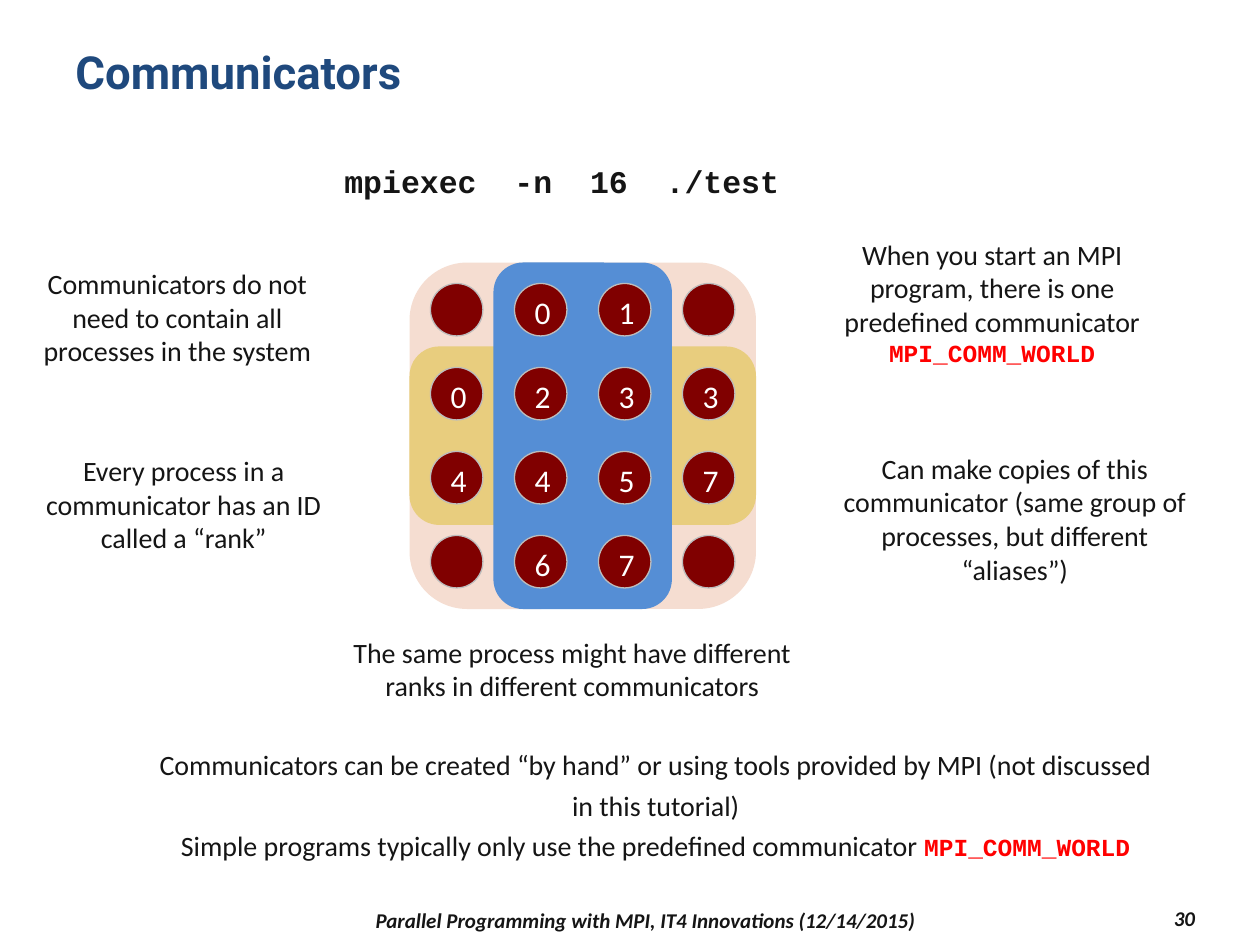
from pptx import Presentation, util as u
from pptx.dml.color import RGBColor
from pptx.enum import shapes, text

UNIT = u.Inches(1) // 12
COLUMNS, ROWS = 120, 90
PITCH, MARGIN, DIAMETER = 8, 2, 5

INK = RGBColor(0x15, 0x15, 0x15)
NAVY = RGBColor(0x1F, 0x49, 0x7D)
RED = RGBColor(0xFF, 0x00, 0x00)
WHITE = RGBColor(0xFF, 0xFF, 0xFF)
MAROON = RGBColor(0x80, 0x00, 0x00)
GREY = RGBColor(0xBD, 0xBD, 0xBD)
PINK = RGBColor(0xF5, 0xDD, 0xD1)
GOLD = RGBColor(0xE8, 0xCD, 0x7E)
BLUE = RGBColor(0x55, 0x8E, 0xD5)

BODY = {"name": "Calibri", "size": u.Pt(16), "color": INK}
TITLE = {"name": "Roboto", "size": u.Pt(26), "bold": True, "color": NAVY}
FOOTER = BODY | {"size": u.Pt(12), "bold": True, "italic": True}
COMMAND = {"name": "Courier New", "size": u.Pt(18), "bold": True, "color": INK}
CONSTANT = COMMAND | {"size": u.Pt(14), "color": RED}
RANK = BODY | {"size": u.Pt(18), "color": WHITE}

CENTER = text.PP_ALIGN.CENTER
WORLD = ("MPI_COMM_WORLD", CONSTANT)

COMMUNICATORS = [
    (PINK, 0, 0, 4, 4, {(0, 0): "", (3, 0): "", (0, 3): "", (3, 3): ""}),
    (GOLD, 0, 1, 4, 2, {(0, 0): "0", (3, 0): "3", (0, 1): "4", (3, 1): "7"}),
    (BLUE, 1, 0, 2, 4, {(rank % 2, rank // 2): str(rank) for rank in range(8)}),
]

NOTES = [
    ((29, 14.8, 49, 4.8), [("mpiexec  -n  16  ./test", COMMAND)]),
    ((78, 22, 33, 14.2), [
        ("When you start an MPI program, there is one predefined communicator ", BODY), WORLD]),
    ((78, 42.4, 37.3, 14.2), [
        ("Can make copies of this communicator (same group of processes, "
         "but different “aliases”)", BODY)]),
    ((1.4, 24.8, 31, 10.9), [
        ("Communicators do not need to contain all processes in the system", BODY)]),
    ((2, 42.6, 31, 10.9), [
        ("Every process in a communicator has an ID called a “rank”", BODY)]),
    ((30, 59.9, 49, 7.7), [
        ("The same process might have different ranks in different communicators", BODY)]),
]

SUMMARY = [
    [("Communicators can be created “by hand” or using tools provided by MPI "
      "(not discussed in this tutorial)", BODY)],
    [("Simple programs typically only use the predefined communicator ", BODY), WORLD],
]


def grid(box):
    """Turn columns and rows into slide lengths."""
    return [round(value * UNIT) for value in box]


def add_run(paragraph, words, style):
    """Add a run and set its font from a dict."""
    run = paragraph.add_run()
    run.text = words
    for name, value in style.items():
        if name == "color":
            run.font.color.rgb = value
        else:
            setattr(run.font, name, value)


def add_words(slide, box, paragraphs, alignment=CENTER, spacing=None,
              anchor=text.MSO_ANCHOR.TOP):
    """Place a wrapped text box made of paragraphs of styled runs."""
    frame = slide.shapes.add_textbox(*grid(box)).text_frame
    frame.word_wrap = True
    frame.vertical_anchor = anchor
    for index, runs in enumerate(paragraphs):
        paragraph = frame.add_paragraph() if index else frame.paragraphs[0]
        paragraph.alignment = alignment
        if spacing:
            paragraph.line_spacing = spacing
        for words, style in runs:
            add_run(paragraph, words, style)


def add_filled(group, kind, box, fill):
    """Add a flat preset shape without an outline."""
    shape = group.shapes.add_shape(kind, *grid(box))
    shape.shadow.inherit = False
    shape.fill.solid()
    shape.fill.fore_color.rgb = fill
    shape.line.fill.background()
    return shape


def add_process(group, left, top, rank):
    """Draw one process circle with its rank."""
    shape = add_filled(group, shapes.MSO_SHAPE.OVAL,
                       (left, top, DIAMETER, DIAMETER), MAROON)
    shape.line.color.rgb = GREY
    shape.line.width = u.Pt(0.75)
    if not rank:
        return
    frame = shape.text_frame
    layout = {"margin_left": u.Inches(0.03), "margin_top": u.Inches(0.03),
              "margin_right": 0, "margin_bottom": 0, "word_wrap": True,
              "vertical_anchor": text.MSO_ANCHOR.MIDDLE}
    for name, value in layout.items():
        setattr(frame, name, value)
    frame.paragraphs[0].alignment = CENTER
    add_run(frame.paragraphs[0], rank, RANK)


def add_communicators(slide, left, top):
    """Draw the overlapping communicators on a four by four process grid."""
    for fill, column, row, across, down, ranks in COMMUNICATORS:
        group = slide.shapes.add_group_shape()
        x, y = left + column * PITCH, top + row * PITCH
        width, height = [(count - 1) * PITCH + DIAMETER + 2 * MARGIN
                         for count in (across, down)]
        add_filled(group, shapes.MSO_SHAPE.ROUNDED_RECTANGLE,
                   (x, y, width, height), fill)
        for (i, j), rank in ranks.items():
            add_process(group, x + MARGIN + i * PITCH, y + MARGIN + j * PITCH, rank)


def add_footer(slide, top):
    """Place the course name and the page number."""
    middle = text.MSO_ANCHOR.MIDDLE
    course = "Parallel Programming with MPI, IT4 Innovations (12/14/2015)"
    add_words(slide, (26, top, 71, 3.2), [[(course, FOOTER)]], anchor=middle)
    add_words(slide, (102, top - 0.2, 13, 3.2), [[("30", FOOTER)]],
              text.PP_ALIGN.RIGHT, anchor=middle)


def main():
    """Build and save the slide."""
    presentation = Presentation()
    presentation.slide_width, presentation.slide_height = grid((COLUMNS, ROWS))
    slide = presentation.slides.add_slide(presentation.slide_layouts[6])
    add_words(slide, (6, 3.6, 108, 10.4), [[("Communicators", TITLE)]],
              text.PP_ALIGN.LEFT)
    add_communicators(slide, 39, 25)
    for box, runs in NOTES:
        add_words(slide, box, [runs])
    add_words(slide, (13.2, 70, 98.5, 12.8), SUMMARY, spacing=1.2)
    add_footer(slide, 86)
    presentation.save("out.pptx")


if __name__ == "__main__":
    main()
